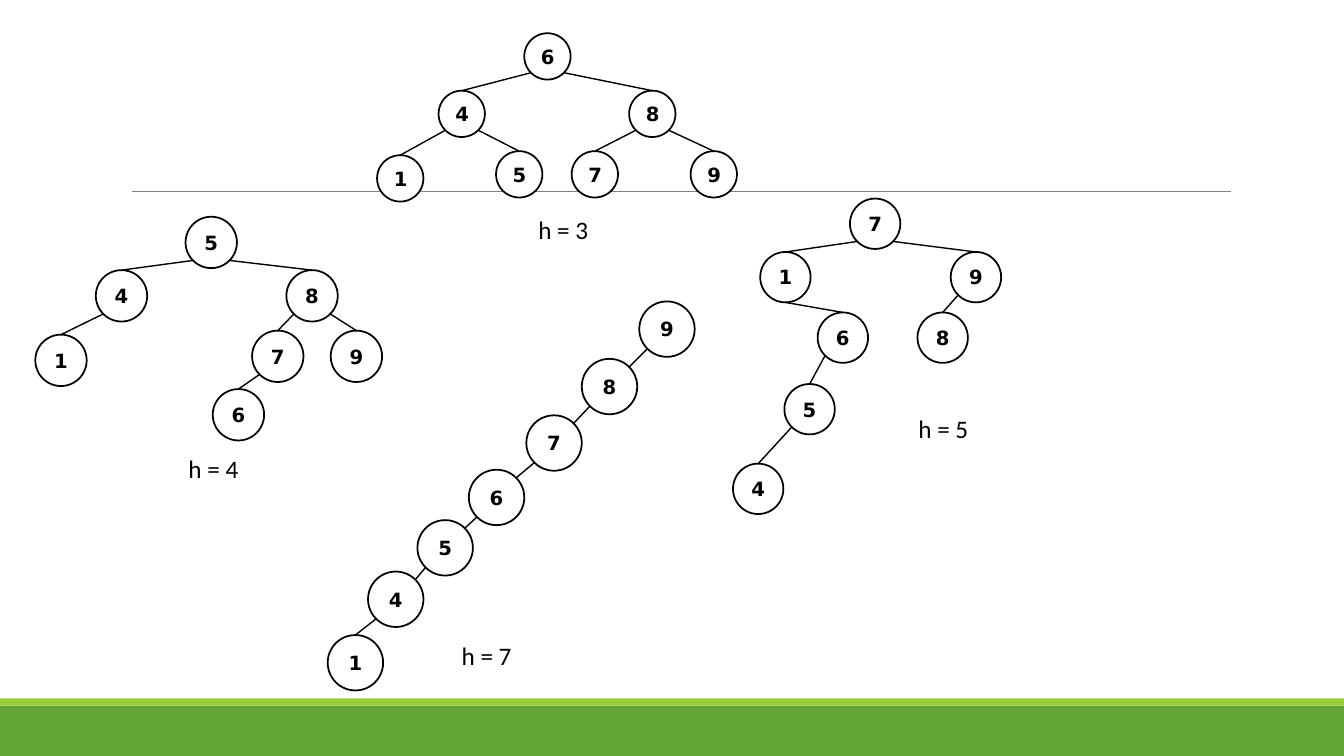
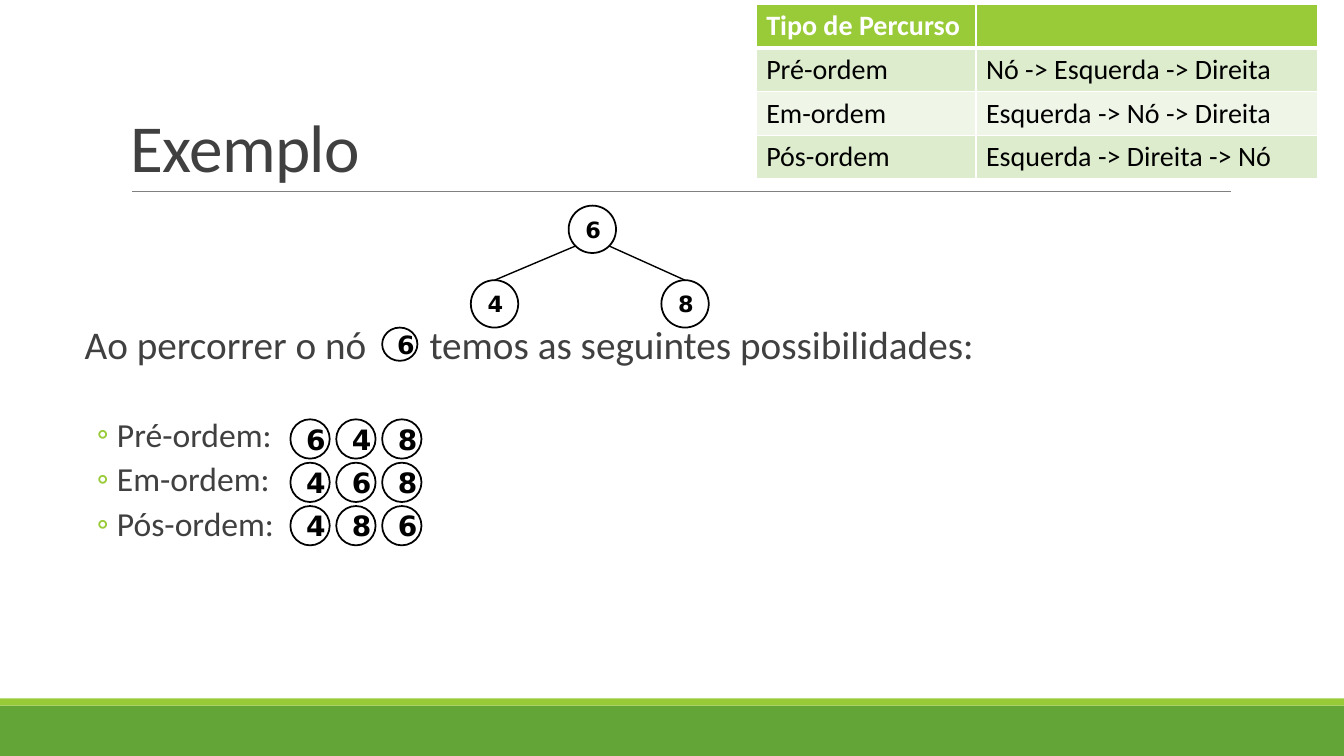
from dataclasses import dataclass

from lxml.etree import SubElement
from pptx import Presentation
from pptx.dml.color import RGBColor as RGB
from pptx.enum.shapes import MSO_CONNECTOR as Conn, MSO_SHAPE as Shape
from pptx.enum.text import MSO_ANCHOR as Anchor, PP_ALIGN as Align
from pptx.oxml.ns import qn
from pptx.util import Inches, Pt


@dataclass(frozen=True)
class Theme:
    green: str = "63A537"
    lime: str = "99CB38"
    rule: str = "808080"
    heading: str = "404040"
    ink: str = "000000"
    paper: str = "FFFFFF"
    odd_row: str = "DEECCE"
    even_row: str = "EFF6E8"
    font: str = "Calibri"
    node_font: str = "DejaVu Sans"
    title: int = 48
    lead: int = 28
    bullet: int = 24
    cell: int = 20
    label: int = 18
    node: int = 14
    root_node: int = 16
    inline_node: int = 18
    visit_node: int = 20


T = Theme()

TOP = (0.5, 0)
BOTTOM = (0.5, 1)
TOP_RIGHT = (0.85, 0.15)
BOTTOM_LEFT = (0.15, 0.85)
BOTTOM_RIGHT = (0.85, 0.85)


@dataclass(frozen=True)
class Node:
    key: str
    x: float
    y: float
    parent: str = ""
    leave: tuple = ()
    arrive: tuple = TOP


COMPLETE = [
    Node("6", 1.46, 0),
    Node("4", 0.61, 0.57, "6"), Node("8", 2.5, 0.57, "6"),
    Node("1", 0, 1.21, "4"), Node("5", 1.18, 1.17, "4"),
    Node("7", 1.93, 1.17, "8"), Node("9", 3.11, 1.17, "8"),
]
HEIGHT_FOUR = [
    Node("5", 1.49, 0),
    Node("4", 0.6, 0.53, "5"), Node("8", 2.49, 0.53, "5"),
    Node("1", 0, 1.17, "4"),
    Node("7", 2.15, 1.13, "8"), Node("9", 2.93, 1.13, "8"),
    Node("6", 1.76, 1.71, "7"),
]
HEIGHT_FIVE = [
    Node("7", 1.16, 0),
    Node("1", 0.27, 0.53, "7"), Node("9", 2.16, 0.53, "7"),
    Node("6", 0.84, 1.13, "1", BOTTOM), Node("8", 1.83, 1.13, "9"),
    Node("5", 0.51, 1.84, "6"),
    Node("4", 0, 2.63, "5"),
]
CHAIN = [
    Node("9", 3.09, 0),
    Node("8", 2.52, 0.57, "9", arrive=TOP_RIGHT),
    Node("7", 1.97, 1.13, "8", arrive=TOP_RIGHT),
    Node("6", 1.4, 1.67, "7", arrive=TOP_RIGHT),
    Node("5", 0.89, 2.17, "6", arrive=TOP_RIGHT),
    Node("4", 0.4, 2.68, "5", arrive=TOP_RIGHT),
    Node("1", 0, 3.31, "4"),
]
SMALL_TREE = [
    Node("6", 0.97, 0),
    Node("4", 0, 0.74, "6"), Node("8", 1.89, 0.74, "6"),
]
TRAVERSALS = [
    ("Pré-ordem", "Nó -> Esquerda -> Direita", "648"),
    ("Em-ordem", "Esquerda -> Nó -> Direita", "468"),
    ("Pós-ordem", "Esquerda -> Direita -> Nó", "486"),
]


def add_run(p, text, size, color, font=T.font, bold=False):
    r = p.add_run()
    r.text = text
    r.font.size = Pt(size)
    r.font.name = font
    r.font.bold = bold
    r.font.color.rgb = RGB.from_string(color)
    return r


def add_shape(s, kind, left, top, width, height, fill, line=None):
    sp = s.shapes.add_shape(kind, Inches(left), Inches(top), Inches(width), Inches(height))
    sp.shadow.inherit = False
    sp.fill.solid()
    sp.fill.fore_color.rgb = RGB.from_string(fill)
    if line:
        sp.line.color.rgb = RGB.from_string(line)
        sp.line.width = Pt(1.25)
    else:
        sp.line.fill.background()
    return sp


def add_line(s, start, end, color, width):
    cx = s.shapes.add_connector(Conn.STRAIGHT, *map(Inches, (*start, *end)))
    cx.line.color.rgb = RGB.from_string(color)
    cx.line.width = Pt(width)
    SubElement(cx._element.spPr, qn("a:effectLst"))


def add_text_box(s, left, top, width, height, wrap=True):
    tf = s.shapes.add_textbox(Inches(left), Inches(top), Inches(width), Inches(height)).text_frame
    tf.word_wrap = wrap
    return tf


def add_node(s, key, left, top, width, height, size):
    sp = add_shape(s, Shape.OVAL, left, top, width, height, T.paper, T.ink)
    tf = sp.text_frame
    tf.vertical_anchor = Anchor.MIDDLE
    p = tf.paragraphs[0]
    p.alignment = Align.CENTER
    add_run(p, key, size, T.ink, T.node_font, True)


def add_tree(s, left, top, nodes, diameter, size=T.node):
    def point(node, site):
        return left + node.x + site[0] * diameter, top + node.y + site[1] * diameter

    placed = {}
    for node in nodes:
        add_node(s, node.key, left + node.x, top + node.y, diameter, diameter, size)
        placed[node.key] = node
        if node.parent:
            parent = placed[node.parent]
            side = BOTTOM_LEFT if node.x < parent.x else BOTTOM_RIGHT
            add_line(s, point(parent, node.leave or side), point(node, node.arrive), T.ink, 1)


def add_height(s, left, top, height):
    tf = add_text_box(s, left, top, 0.71, 0.4, wrap=False)
    add_run(tf.paragraphs[0], f"h = {height}", T.label, T.ink)


def add_title(s, left, top, width, height, text):
    tf = add_text_box(s, left, top, width, height)
    tf.vertical_anchor = Anchor.BOTTOM
    p = tf.paragraphs[0]
    p.line_spacing = 0.85
    r = add_run(p, text, T.title, T.heading)
    r.font._element.set("spc", "-50")


def set_bullet(p, margin, hanging):
    pPr = p._p.get_or_add_pPr()
    pPr.set("marL", str(Inches(margin)))
    pPr.set("indent", str(-Inches(hanging)))
    color = SubElement(pPr, qn("a:buClr"))
    SubElement(color, qn("a:srgbClr"), val=T.lime)
    SubElement(pPr, qn("a:buFont"), typeface=T.font)
    SubElement(pPr, qn("a:buChar"), char="◦")


def set_tab(p, position):
    tabs = SubElement(p._p.get_or_add_pPr(), qn("a:tabLst"))
    SubElement(tabs, qn("a:tab"), pos=str(Inches(position)), algn="l")


def add_body(s, left, top, width, height):
    tf = add_text_box(s, left, top, width, height)
    tf.margin_left = tf.margin_right = 0
    p = tf.paragraphs[0]
    p.line_spacing = 0.9
    p.space_after = Pt(2)
    set_tab(p, 3.42)
    add_run(p, "Ao percorrer o nó\ttemos as seguintes possibilidades:", T.lead, T.heading)
    for i, (name, _, _) in enumerate(TRAVERSALS):
        p = tf.add_paragraph()
        p.line_spacing = 0.9
        p.space_before = Pt(2 if i else 34)
        p.space_after = Pt(4)
        set_bullet(p, 0.32, 0.2)
        add_run(p, f"{name}:", T.bullet, T.heading)


def add_visits(s, left, top):
    for row, (_, _, order) in enumerate(TRAVERSALS):
        for col, key in enumerate(order):
            add_node(s, key, left + col * 0.455, top + row * 0.43, 0.39, 0.39, T.visit_node)


def set_borders(cell, bottom):
    tcPr = cell._tc.get_or_add_tcPr()
    for side, width in (("L", 1), ("R", 1), ("T", 1), ("B", bottom)):
        ln = SubElement(tcPr, qn(f"a:ln{side}"), w=str(Pt(width)))
        fill = SubElement(ln, qn("a:solidFill"))
        SubElement(fill, qn("a:srgbClr"), val=T.paper)


def add_traversal_table(s, left, top):
    rows = [("Tipo de Percurso", "")] + [row[:2] for row in TRAVERSALS]
    widths = (2.18, 3.39)
    row_height = 0.43
    table = s.shapes.add_table(len(rows), len(widths), Inches(left), Inches(top),
                               Inches(sum(widths)), Inches(row_height * len(rows))).table
    for column, width in zip(table.columns, widths):
        column.width = Inches(width)
    for i, texts in enumerate(rows):
        header = i == 0
        fill = T.lime if header else T.odd_row if i % 2 else T.even_row
        for j, text in enumerate(texts):
            cell = table.cell(i, j)
            set_borders(cell, 3 if header else 1)
            cell.fill.solid()
            cell.fill.fore_color.rgb = RGB.from_string(fill)
            if text:
                add_run(cell.text_frame.paragraphs[0], text, T.cell,
                        T.paper if header else T.ink, bold=header)


def add_base_slide(prs):
    s = prs.slides.add_slide(prs.slide_layouts[6])
    add_shape(s, Shape.RECTANGLE, 0, 7, 13.33, 0.5, T.green)
    add_shape(s, Shape.RECTANGLE, 0, 6.93, 13.33, 0.07, T.lime)
    add_line(s, (1.31, 1.9), (12.21, 1.9), T.rule, 0.5)
    return s


def build_heights(prs):
    s = add_base_slide(prs)
    for left, top, nodes, diameter, height, dx, dy in (
        (0.35, 2.15, HEIGHT_FOUR, 0.51, 4, 1.42, 2.3),
        (3.74, 0.33, COMPLETE, 0.46, 3, 1.5, 1.75),
        (7.27, 1.97, HEIGHT_FIVE, 0.5, 5, 1.74, 2.08),
        (3.25, 2.99, CHAIN, 0.55, 7, 1.23, 3.31),
    ):
        add_tree(s, left, top, nodes, diameter)
        add_height(s, left + dx, top + dy, height)


def build_example(prs):
    s = add_base_slide(prs)
    add_title(s, 1.2, 0.31, 11, 1.59, "Exemplo")
    add_body(s, 0.84, 3.18, 9.3, 3.42)
    add_tree(s, 4.67, 2.04, SMALL_TREE, 0.47, T.root_node)
    add_node(s, "6", 3.79, 3.25, 0.35, 0.33, T.inline_node)
    add_visits(s, 2.88, 4.16)
    add_traversal_table(s, 7.5, 0.04)


def main():
    prs = Presentation()
    prs.slide_width = Inches(13.33)
    prs.slide_height = Inches(7.5)
    build_heights(prs)
    build_example(prs)
    prs.save("out.pptx")


if __name__ == "__main__":
    main()
